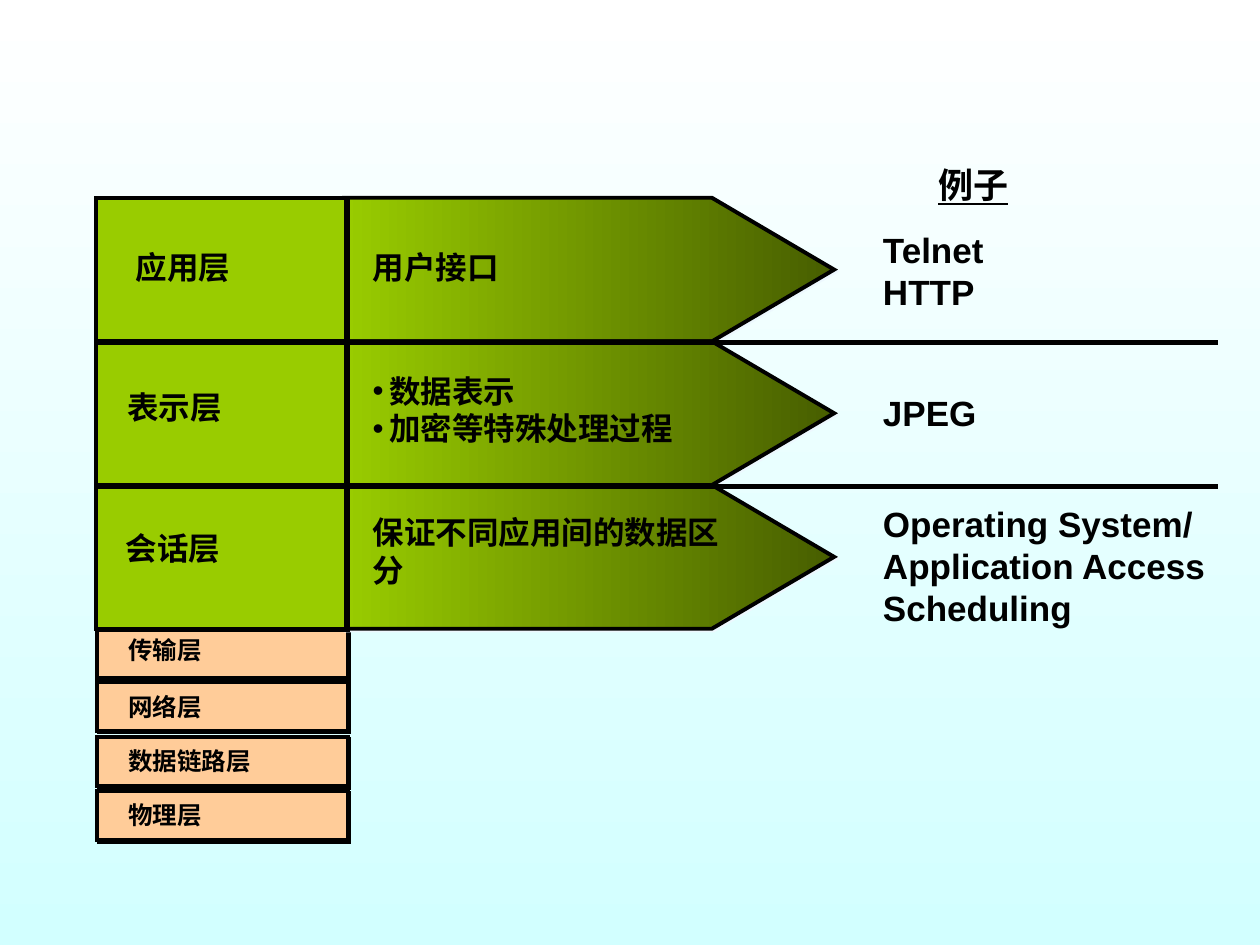
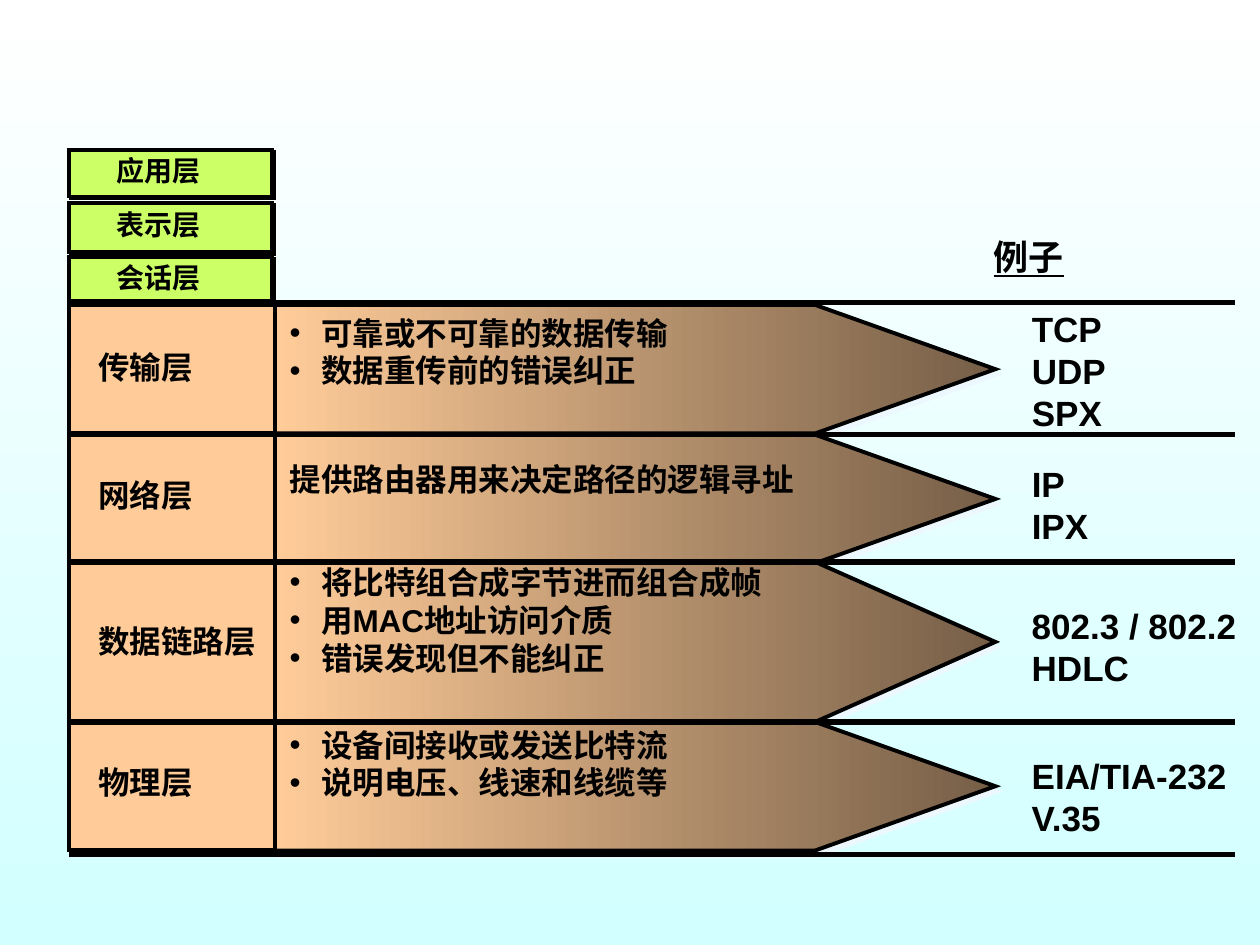
"""Build two slides that set out the upper and lower layers of the OSI model."""
from dataclasses import dataclass
from typing import Optional

from lxml.etree import SubElement
from pptx import Presentation
from pptx.dml.color import RGBColor
from pptx.dml.fill import FillFormat
from pptx.enum.shapes import MSO_CONNECTOR, MSO_SHAPE
from pptx.enum.text import MSO_ANCHOR, MSO_AUTO_SIZE
from pptx.oxml.ns import qn
from pptx.shapes.base import BaseShape
from pptx.slide import Slide
from pptx.util import Inches, Pt

COLS, ROWS = 100, 75
WIDE, HIGH = Inches(10), Inches(7.5)
FONT = "Arial"
BLACK = RGBColor(0x00, 0x00, 0x00)
WHITE = RGBColor(0xFF, 0xFF, 0xFF)
AQUA = RGBColor(0xD2, 0xFF, 0xFF)
MIST = RGBColor(0xED, 0xF8, 0xFE)
GREEN = RGBColor(0x99, 0xCC, 0x00)
MOSS = RGBColor(0x47, 0x5E, 0x00)
LIME = RGBColor(0xCC, 0xFF, 0x66)
PEACH = RGBColor(0xFF, 0xCC, 0x99)
BROWN = RGBColor(0x76, 0x5E, 0x47)


@dataclass(frozen=True)
class Shade:
    color: RGBColor
    dist: float
    angle: int


@dataclass(frozen=True)
class Note:
    text: str
    left: float
    top: float
    width: float = 0
    size: int = 18
    lines: int = 0
    hang: float = 0
    middle: bool = False
    under: bool = False


@dataclass(frozen=True)
class Band:
    top: float
    height: float
    name: Note
    task: Note
    demo: Note


@dataclass(frozen=True)
class Small:
    top: float
    height: float
    name: Note


@dataclass(frozen=True)
class Stack:
    left: float
    width: float
    neck: float
    bend: float
    tip: float
    fill: RGBColor
    dark: RGBColor
    box_shade: Optional[Shade]
    tip_shade: Shade
    pale: RGBColor
    head: Note
    bands: list[Band]
    smalls: list[Small]
    small_left: float
    small_width: float
    rules: list[float]
    rule_end: float


def col(count: float) -> int:
    """Turn grid columns into slide units."""
    return round(count * WIDE / COLS)


def row(count: float) -> int:
    """Turn grid rows into slide units."""
    return round(count * HIGH / ROWS)


def blend(fill: FillFormat, start: RGBColor, end: RGBColor, angle: int) -> None:
    """Fill with a straight blend of two colours."""
    fill.gradient()
    fill.gradient_angle = angle
    for stop, color in zip(fill.gradient_stops, (start, end)):
        stop.color.rgb = color


def edge(shape: BaseShape, shade: Optional[Shade]) -> None:
    """Give a shape its black outline and its hard shadow."""
    shape.line.color.rgb = BLACK
    shape.line.width = Pt(2.25)
    shape.shadow.inherit = False
    props = shape.element.spPr
    SubElement(props.find(qn("a:ln")), qn("a:miter"), lim="800000")
    if shade:
        cast = SubElement(props.find(qn("a:effectLst")), qn("a:outerShdw"),
                          dist=str(Pt(shade.dist)), dir=str(shade.angle * 60000),
                          algn="ctr", rotWithShape="0")
        SubElement(cast, qn("a:srgbClr"), val=str(shade.color))


def add_box(slide: Slide, left: float, top: float, width: float, height: float,
            color: RGBColor, shade: Optional[Shade]) -> None:
    """Draw the box of one layer."""
    box = slide.shapes.add_shape(MSO_SHAPE.RECTANGLE, col(left), row(top),
                                 col(width), row(height))
    box.fill.solid()
    box.fill.fore_color.rgb = color
    edge(box, shade)


def add_arrow(slide: Slide, stack: Stack, band: Band) -> None:
    """Draw the pointed panel to the right of a layer."""
    top, base = row(band.top), row(band.top + band.height)
    neck, bend, tip = col(stack.neck), col(stack.bend), col(stack.tip)
    pen = slide.shapes.build_freeform(neck, top)
    pen.add_line_segments([(bend, top), (tip, (top + base) // 2),
                           (bend, base), (neck, base)], close=True)
    arrow = pen.convert_to_shape()
    blend(arrow.fill, stack.fill, stack.dark, 0)
    edge(arrow, stack.tip_shade)


def add_note(slide: Slide, note: Note) -> None:
    """Write a text box; a note with no width fits its one line."""
    parts = note.text.replace("\v", "\n").split("\n")
    lines = note.lines or len(parts)
    width = note.width or len(note.text) * note.size / 7.2 + 2
    box = slide.shapes.add_textbox(col(note.left), row(note.top), col(width),
                                   row(1 + lines * note.size / 6))
    frame = box.text_frame
    frame.word_wrap = note.width > 0
    frame.auto_size = MSO_AUTO_SIZE.SHAPE_TO_FIT_TEXT
    frame.vertical_anchor = MSO_ANCHOR.MIDDLE if note.middle else MSO_ANCHOR.TOP
    frame.text = note.text
    for para in frame.paragraphs:
        if note.hang:
            props = para._p.get_or_add_pPr()
            props.set("marL", str(col(note.hang)))
            props.set("indent", str(-col(note.hang)))
            tint = SubElement(props, qn("a:buClr"))
            SubElement(tint, qn("a:srgbClr"), val=str(BLACK))
            SubElement(props, qn("a:buFont"), typeface=FONT)
            SubElement(props, qn("a:buChar"), char="•")
        for run in para.runs:
            font = run.font
            font.name, font.size, font.bold = FONT, Pt(note.size), True
            font.color.rgb = BLACK
            if note.under:
                font.underline = True


def add_rule(slide: Slide, left: float, right: float, top: float) -> None:
    """Draw a level line between layers."""
    rule = slide.shapes.add_connector(MSO_CONNECTOR.STRAIGHT, col(left), row(top),
                                      col(right), row(top))
    rule.line.color.rgb = BLACK
    rule.line.width = Pt(3)
    SubElement(rule.element.spPr, qn("a:effectLst"))


def draw(slide: Slide, stack: Stack) -> None:
    """Draw a whole stack of layers on a slide."""
    blend(slide.background.fill, WHITE, AQUA, 270)
    for small in stack.smalls:
        add_box(slide, stack.small_left, small.top, stack.small_width, small.height,
                stack.pale, DROP)
        add_note(slide, small.name)
    for band in stack.bands:
        add_arrow(slide, stack, band)
    for band in stack.bands:
        add_box(slide, stack.left, band.top, stack.width, band.height,
                stack.fill, stack.box_shade)
    for band in stack.bands:
        for note in (band.name, band.task, band.demo):
            add_note(slide, note)
    add_note(slide, stack.head)
    for top in stack.rules:
        add_rule(slide, stack.left, stack.rule_end, top)


def demo(text: str, left: float, top: float, width: float) -> Note:
    """Make the note that lists sample protocols."""
    return Note(text, left, top, width, size=20, middle=True)


def head(left: float, top: float) -> Note:
    """Make the underlined heading above the samples."""
    return Note("例子", left, top, 19.7, size=20, middle=True, under=True)


DROP = Shade(BLACK, 1.4, 45)

UPPER = Stack(
    left=7.6, width=19.9, neck=27.3, bend=56.5, tip=66.2, fill=GREEN, dark=MOSS,
    box_shade=DROP, tip_shade=Shade(MIST, 1.4, 45), pale=PEACH, head=head(73.5, 12.5),
    bands=[
        Band(15.7, 11.4, Note("应用层", 9.8, 19.2),
             Note("用户接口", 28.6, 19.2, 25.1, middle=True),
             demo("Telnet\nHTTP", 69.1, 17.6, 19.6)),
        Band(27.1, 11.4, Note("表示层", 9.1, 30.3),
             Note("数据表示\n加密等特殊处理过程", 28.6, 29, 30.6, hang=1.3, middle=True),
             demo("JPEG", 69.1, 30.6, 14.6)),
        Band(38.5, 11.4, Note("会话层", 9, 41.5),
             Note("保证不同应用间的数据区分", 28.6, 40.2, 31.3, lines=2, middle=True),
             demo("Operating System/\nApplication Access\nScheduling", 69.1, 39.4, 28.4)),
    ],
    smalls=[Small(top, 3.9, Note(text, 9.2, note_top, size=14))
            for text, top, note_top in (("传输层", 49.9, 49.9), ("网络层", 54.1, 54.4),
                                        ("数据链路层", 58.5, 58.7), ("物理层", 62.8, 63))],
    small_left=7.7, small_width=19.9, rules=[27.2, 38.6], rule_end=96.7)

LOWER = Stack(
    left=5.5, width=16.3, neck=21.8, bend=64.7, tip=79, fill=PEACH, dark=BROWN,
    box_shade=None, tip_shade=Shade(MIST, 3.2, 72), pale=LIME, head=head(77.9, 18.2),
    bands=[
        Band(24.2, 10.2, Note("传输层", 6.8, 27.1),
             Note("可靠或不可靠的数据传输\n数据重传前的错误纠正", 22, 24.4, 45.3, hang=2.5),
             demo("TCP\nUDP\nSPX", 80.9, 23.9, 9.9)),
        Band(34.5, 10.2, Note("网络层", 6.8, 37.3),
             Note("提供路由器用来决定路径的逻辑寻址", 22, 36, 46.8),
             demo("IP\nIPX", 80.9, 36.2, 9.9)),
        Band(44.6, 12.7, Note("数据链路层", 6.8, 48.9),
             Note("将比特组合成字节进而组合成帧\n用MAC地址访问介质\n错误发现但不能纠正",
                  22, 44.2, 48.3, hang=2.5),
             demo("802.3 / 802.2\nHDLC", 80.9, 47.5, 18.3)),
        Band(57.3, 10.2, Note("物理层", 6.8, 60.1),
             Note("设备间接收或发送比特流\n说明电压、线速和线缆等", 22, 57.1, 49.8, hang=2.5),
             demo("EIA/TIA-232\vV.35", 80.9, 59.4, 18.3)),
    ],
    smalls=[Small(top, height, Note(text, 8.3, note_top, size=16))
            for text, top, height, note_top in (("应用层", 11.9, 3.7, 11.7),
                                                ("表示层", 16.1, 3.9, 16),
                                                ("会话层", 20.4, 3.5, 20.2))],
    small_left=5.5, small_width=16.1, rules=[24, 34.5, 44.6, 57.3, 67.8], rule_end=98)


def main() -> None:
    """Make and save the deck."""
    deck = Presentation()
    deck.slide_width, deck.slide_height = WIDE, HIGH
    for stack in (UPPER, LOWER):
        draw(deck.slides.add_slide(deck.slide_layouts[6]), stack)
    deck.save("out.pptx")


if __name__ == "__main__":
    main()
